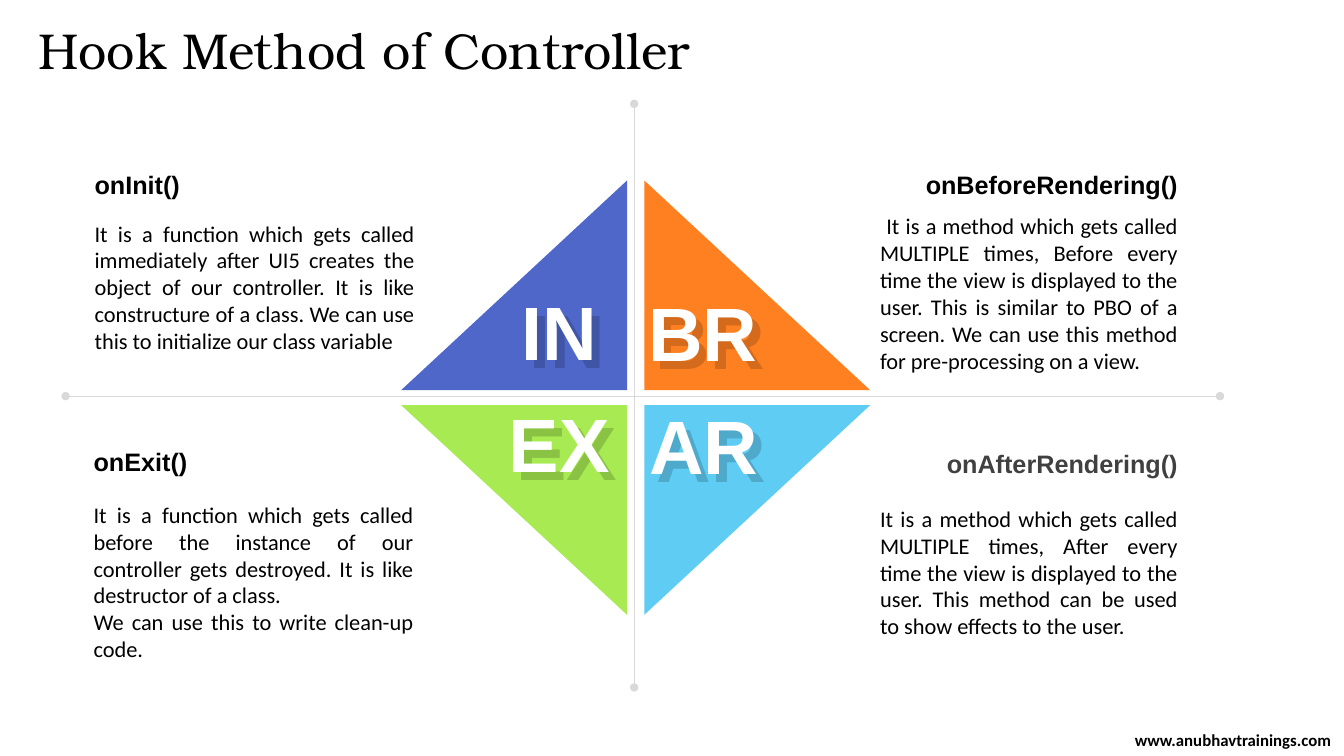
from pptx import Presentation
from pptx.dml.color import RGBColor
from pptx.enum.shapes import MSO_CONNECTOR, MSO_SHAPE
from pptx.enum.text import MSO_ANCHOR, MSO_AUTO_SIZE, PP_ALIGN
from pptx.oxml import parse_xml
from pptx.oxml.ns import nsdecls, qn
from pptx.util import Inches, Pt

LEFT, CENTER, RIGHT, JUSTIFY = PP_ALIGN.LEFT, PP_ALIGN.CENTER, PP_ALIGN.RIGHT, PP_ALIGN.JUSTIFY
TOP, MIDDLE = MSO_ANCHOR.TOP, MSO_ANCHOR.MIDDLE
FIXED, GROW = MSO_AUTO_SIZE.NONE, MSO_AUTO_SIZE.SHAPE_TO_FIT_TEXT
STRAIGHT, TRIANGLE = MSO_CONNECTOR.STRAIGHT, MSO_SHAPE.RIGHT_TRIANGLE

COLORS = {
    "black": "000000", "white": "FFFFFF", "gray": "404040", "axis": "D9D9D9",
    "blue": "4E67C8", "orange": "FF8021", "green": "A7EA52", "sky": "5ECCF3",
}
TITLE = {"name": "TeX Gyre Bonum", "size": Pt(36), "bold": False}
HEADING = {"name": "Arial", "size": Pt(18), "bold": True}
BODY = {"name": "Calibri", "size": Pt(16), "bold": False}
LETTERS = {"name": "Arial", "size": Pt(54), "bold": True}
FOOTER = {"name": "Calibri", "size": Pt(12), "bold": True}

COLUMNS, ROWS = (3.98, 6.39), (1.79, 4.02)
TRIANGLE_SIZE = (2.24, 2.08)
AXES = [(6.29, 1.03, 6.29, 6.82), (0.65, 3.93, 12.1, 3.93)]

# column, row, triangle color, letters and box, heading, box and color, body paragraphs and box
HOOKS = [
    (0, 0, "blue", "IN", (5.07, 2.78, 0.96, 1.01),
     "onInit()", (0.84, 1.63, 3.15, 0.4), "black",
     ["It is a function which gets called immediately after UI5 creates the object of our "
      "controller. It is like constructure of a class. We can use this to initialize our "
      "class variable"], (0.84, 2.13, 3.37, 1.45)),
    (1, 0, "orange", "BR", (6.32, 2.79, 1.3, 1.01),
     "onBeforeRendering()", (8.63, 1.63, 3.15, 0.4), "black",
     [" It is a method which gets called MULTIPLE times, Before every time the view is "
      "displayed to the user. This is similar to PBO of a screen. We can use this method "
      "for pre-processing on a view."], (8.63, 2.06, 3.15, 1.72)),
    (0, 1, "green", "EX", (4.94, 3.89, 1.21, 1.01),
     "onExit()", (0.83, 4.38, 3.15, 0.4), "black",
     ["It is a function which gets called before the instance of our controller gets "
      "destroyed. It is like destructor of a class.",
      "We can use this to write clean-up code."], (0.83, 4.92, 3.37, 1.72)),
    (1, 1, "sky", "AR", (6.33, 3.91, 1.3, 1.01),
     "onAfterRendering()", (8.63, 4.4, 3.15, 0.4), "gray",
     ["It is a method which gets called MULTIPLE times, After every time the view is "
      "displayed to the user. This method can be used to show effects to the user."],
     (8.63, 4.96, 3.15, 1.45)),
]

presentation = Presentation()
presentation.slide_width, presentation.slide_height = Inches(13.33), Inches(7.5)
slide = presentation.slides.add_slide(presentation.slide_layouts.get_by_name("Title Only"))


def write(shape, paragraphs, font_format, color, align, anchor=TOP, wrap=True, fit=GROW):
    frame = shape.text_frame
    frame.word_wrap, frame.vertical_anchor, frame.auto_size = wrap, anchor, fit
    frame.text = "\n".join(paragraphs)
    for paragraph in frame.paragraphs:
        paragraph.alignment = align
        font = paragraph.runs[0].font
        for attribute, value in font_format.items():
            setattr(font, attribute, value)
        font.color.rgb = RGBColor.from_string(COLORS[color])


def add_text(box, *content, **options):
    shape = slide.shapes.add_textbox(*map(Inches, box))
    write(shape, *content, **options)
    return shape


title = slide.shapes.title
title.left, title.top, title.width, title.height = map(Inches, (0.28, 0.2, 8.5, 0.65))
write(title, ["Hook Method of Controller"], TITLE, "black", LEFT, anchor=MIDDLE, fit=FIXED)
title.text_frame.paragraphs[0].line_spacing = 0.9

for column, row, fill, letters, letter_box, heading, heading_box, color, body, body_box in HOOKS:
    triangle = slide.shapes.add_shape(
        TRIANGLE, *map(Inches, (COLUMNS[column], ROWS[row], *TRIANGLE_SIZE)))
    triangle.shadow.inherit = False
    triangle.fill.solid()
    triangle.fill.fore_color.rgb = RGBColor.from_string(COLORS[fill])
    triangle.line.fill.background()
    transform = triangle.element.spPr.xfrm
    if column == 0:
        transform.set("flipH", "1")
    if row == 1:
        transform.set("flipV", "1")

    initials = add_text(letter_box, [letters], LETTERS, "white", CENTER, wrap=False)
    initials.element.spPr.append(parse_xml(
        f'<a:effectLst {nsdecls("a")}><a:outerShdw dist="95250" dir="2700000" algn="tl" '
        'rotWithShape="0"><a:srgbClr val="000000"><a:alpha val="16000"/></a:srgbClr>'
        '</a:outerShdw></a:effectLst>'))
    add_text(heading_box, [heading], HEADING, color, RIGHT if column else LEFT)
    add_text(body_box, body, BODY, "black", JUSTIFY)

for ends in AXES:
    axis = slide.shapes.add_connector(STRAIGHT, *map(Inches, ends))
    axis.line.color.rgb = RGBColor.from_string(COLORS["axis"])
    axis.line.width = Pt(0.25)
    properties = axis.element.spPr
    for end in ("headEnd", "tailEnd"):
        properties.find(qn("a:ln")).append(parse_xml(f'<a:{end} {nsdecls("a")} type="oval"/>'))
    properties.append(parse_xml(f'<a:effectLst {nsdecls("a")}/>'))

add_text((11.13, 7.26, 2.2, 0.16), ["www.anubhavtrainings.com"], FOOTER, "black", CENTER,
         anchor=MIDDLE, fit=FIXED)

presentation.save("out.pptx")
